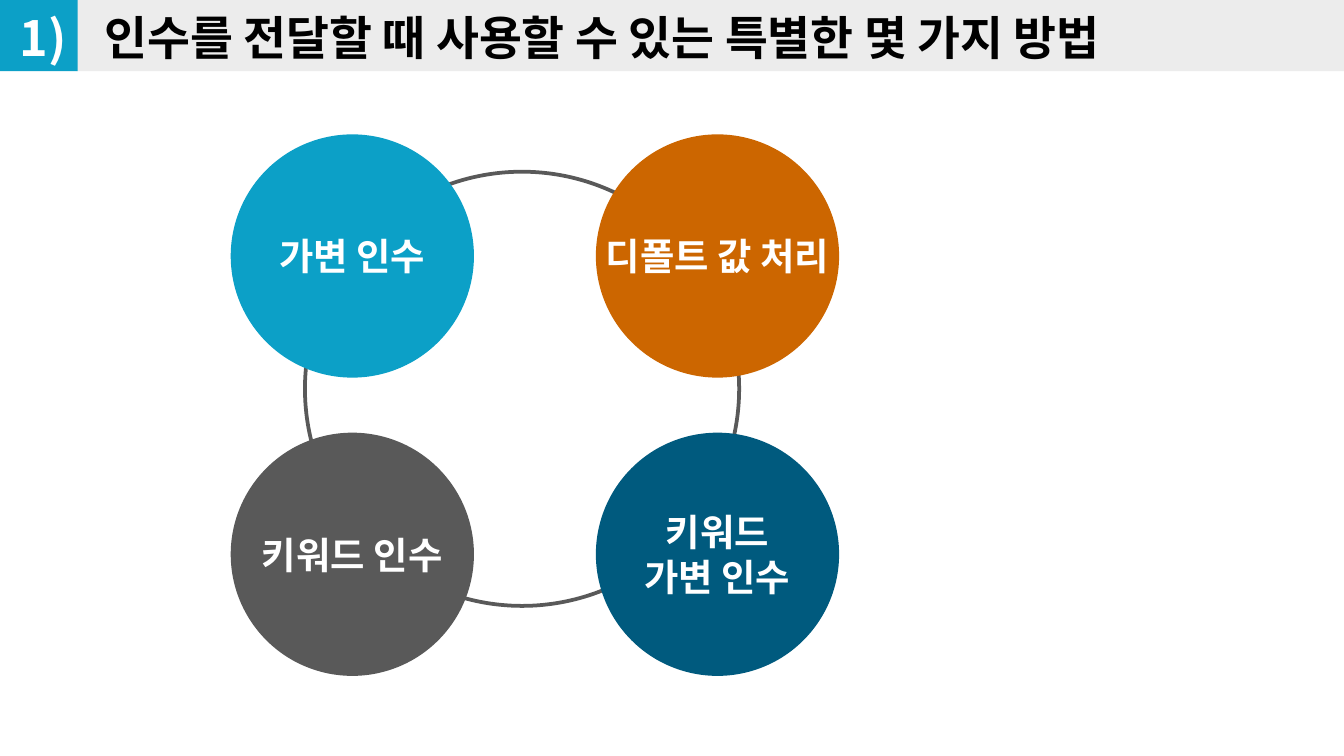
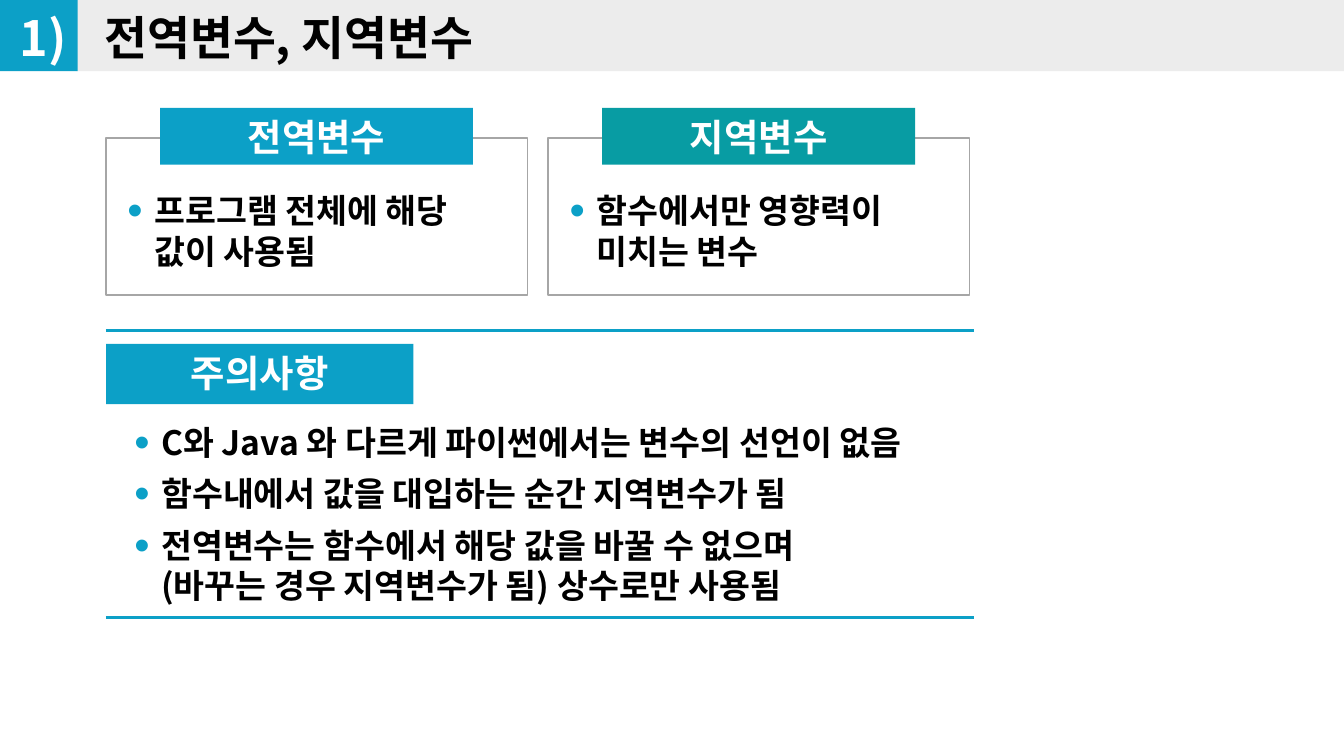
from lxml.etree import SubElement
from pptx import Presentation
from pptx.dml.color import RGBColor
from pptx.enum.shapes import MSO_CONNECTOR, MSO_SHAPE
from pptx.enum.text import MSO_ANCHOR, PP_ALIGN
from pptx.oxml.ns import qn
from pptx.util import Pt

FONT = "Noto Sans CJK KR"
COLORS = {
    "black": "000000",
    "white": "FFFFFF",
    "band": "ECECEC",
    "blue": "0CA0C7",
    "teal": "089CA3",
    "orange": "CC6600",
    "gray": "595959",
    "navy": "005A7E",
    "border": "A6A6A6",
}
TITLE_INSETS = (10, 5, 10, 5)


def add_box(slide, left, top, width, height, text="", kind=MSO_SHAPE.RECTANGLE,
            fill=None, line=None, line_width=1, size=20, color="white",
            align=PP_ALIGN.CENTER, anchor=MSO_ANCHOR.MIDDLE, wrap=True,
            insets=(0, 0, 0, 0), bullets=False):
    """Add a shape, or a text box when kind is None; each line of a list is a paragraph."""
    place = [Pt(value) for value in (left, top, width, height)]
    if kind is None:
        shape = slide.shapes.add_textbox(*place)
    else:
        shape = slide.shapes.add_shape(kind, *place)
        shape.shadow.inherit = False
    if fill:
        shape.fill.solid()
        shape.fill.fore_color.rgb = RGBColor.from_string(COLORS[fill])
    else:
        shape.fill.background()
    if line:
        shape.line.color.rgb = RGBColor.from_string(COLORS[line])
        shape.line.width = Pt(line_width)
    else:
        shape.line.fill.background()
    if not text:
        return

    frame = shape.text_frame
    frame.word_wrap = wrap
    frame.vertical_anchor = anchor
    frame.margin_left, frame.margin_top, frame.margin_right, frame.margin_bottom = map(Pt, insets)
    for index, content in enumerate([text] if isinstance(text, str) else text):
        paragraph = frame.add_paragraph() if index else frame.paragraphs[0]
        paragraph.text = content
        paragraph.alignment = align
        if bullets:
            properties = paragraph._p.get_or_add_pPr()
            properties.set("marL", str(Pt(14.4)))
            properties.set("indent", str(Pt(-14.4)))
            bullet_color = SubElement(properties, qn("a:buClr"))
            SubElement(bullet_color, qn("a:srgbClr"), val=COLORS["blue"])
            SubElement(properties, qn("a:buSzPct"), val="130000")
            SubElement(properties, qn("a:buFont"), typeface="Arial")
            SubElement(properties, qn("a:buChar"), char="•")
        if index:
            paragraph.space_before = Pt(6)
        for run in paragraph.runs:
            run.font.size = Pt(size)
            run.font.bold = True
            run.font.color.rgb = RGBColor.from_string(COLORS[color])
            run.font.name = FONT
            SubElement(run.font._element, qn("a:ea"), typeface=FONT)


def add_titled_slide(presentation, title):
    slide = presentation.slides.add_slide(presentation.slide_layouts[6])
    add_box(slide, 41, -0.7, 679, 38.9, fill="band")
    add_box(slide, -0.7, -0.7, 42.3, 38.9, fill="blue")
    add_box(slide, 46, 0, 642, 40.3, title, kind=None, size=25, color="black",
            align=PP_ALIGN.LEFT, anchor=MSO_ANCHOR.TOP, insets=TITLE_INSETS)
    add_box(slide, -0.7, -0.7, 47.5, 41.8, "1)", kind=None, size=26,
            anchor=MSO_ANCHOR.TOP, insets=TITLE_INSETS)
    return slide


presentation = Presentation()
presentation.slide_width = Pt(720)
presentation.slide_height = Pt(405)

# Slide 1: four circles on a ring
slide = add_titled_slide(presentation, "인수를 전달할 때 사용할 수 있는 특별한 몇 가지 방법")
add_box(slide, 163.4, 92, 232.6, 232.6, kind=MSO_SHAPE.OVAL, line="gray", line_width=2)
methods = [
    ("가변 인수", "blue"),
    ("디폴트 값 처리", "orange"),
    ("키워드 인수", "gray"),
    ("키워드\n가변 인수", "navy"),
]
for index, (method, fill) in enumerate(methods):
    row, column = divmod(index, 2)
    add_box(slide, 123.6 + 195.6 * column, 72 + 159.8 * row, 130.3, 130.3, method,
            kind=MSO_SHAPE.OVAL, fill=fill, wrap=False)

# Slide 2: two cards above a list of cautions
slide = add_titled_slide(presentation, "전역변수, 지역변수")
LEFT = 56.8
cards = [
    ("전역변수", "blue", "프로그램 전체에 해당 값이 사용됨"),
    ("지역변수", "teal", "함수에서만 영향력이 미치는 변수"),
]
for index, (heading, fill, description) in enumerate(cards):
    left = LEFT + 236.8 * index
    add_box(slide, left, 74, 225.8, 84.2, [description], fill="white", line="border",
            size=18, color="black", align=PP_ALIGN.LEFT, anchor=MSO_ANCHOR.TOP,
            insets=(11.5, 28, 11.5, 7.2), bullets=True)
    add_box(slide, left + 29, 57.8, 167.6, 30.4, heading, fill=fill)

add_box(slide, LEFT, 184.3, 164.6, 32.2, "주의사항", fill="blue",
        anchor=MSO_ANCHOR.TOP, insets=(7.2, 3.6, 7.2, 3.6))
cautions = [
    "C와 Java 와 다르게 파이썬에서는 변수의 선언이 없음",
    "함수내에서 값을 대입하는 순간 지역변수가 됨",
    "전역변수는 함수에서 해당 값을 바꿀 수 없으며\n(바꾸는 경우 지역변수가 됨) 상수로만 사용됨",
]
add_box(slide, 72, 221, 453.6, 109.4, cautions, kind=None, size=18, color="black",
        align=PP_ALIGN.LEFT, anchor=MSO_ANCHOR.TOP, insets=(0, 5, 10, 5), bullets=True)
for top in (177, 331):
    rule = slide.shapes.add_connector(MSO_CONNECTOR.STRAIGHT, Pt(LEFT), Pt(top), Pt(521.6), Pt(top))
    rule.line.color.rgb = RGBColor.from_string(COLORS["blue"])
    rule.line.width = Pt(1.5)
    SubElement(rule._element.spPr, qn("a:effectLst"))

presentation.save("out.pptx")
